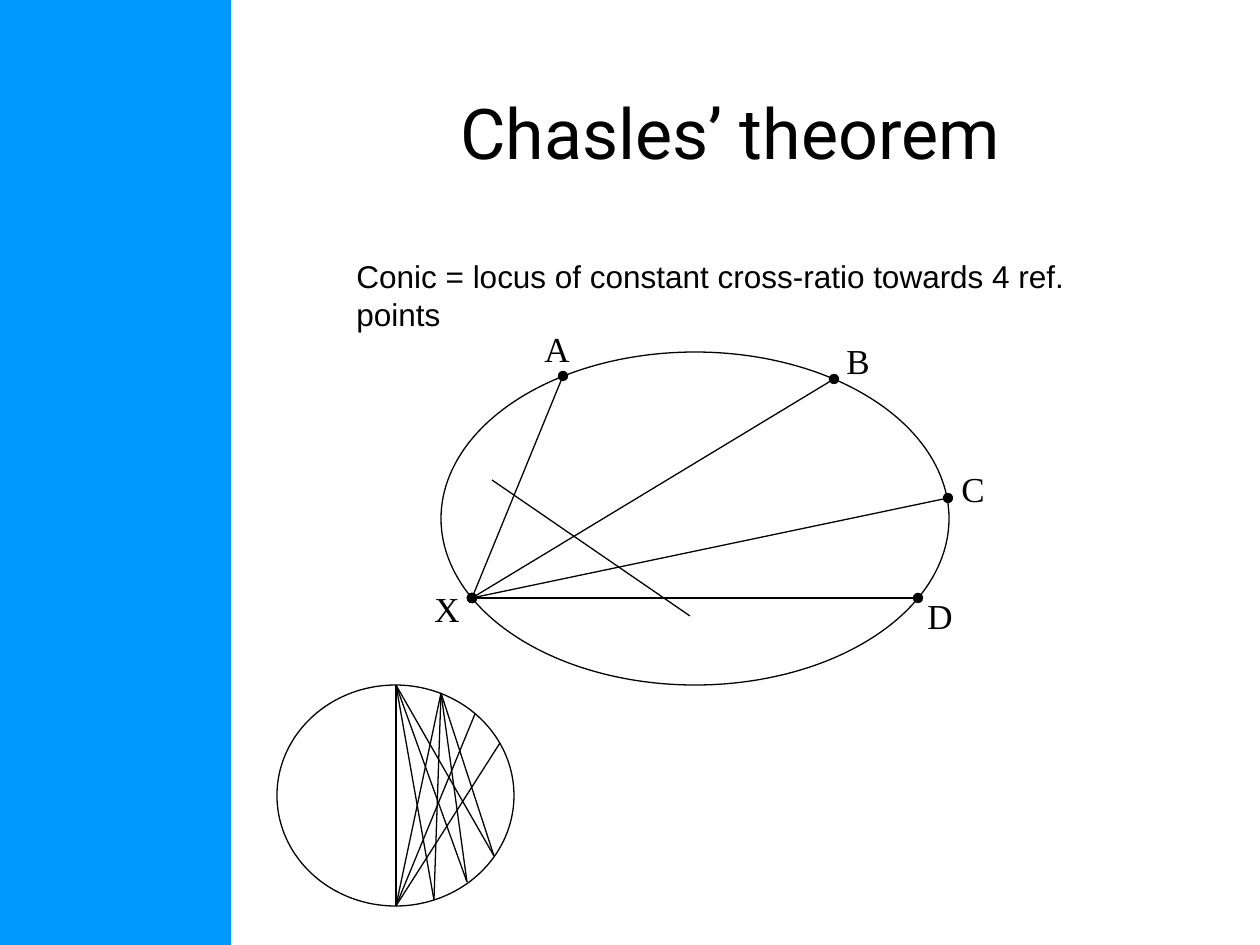
from lxml import etree
from pptx import Presentation
from pptx.dml.color import RGBColor
from pptx.enum.shapes import MSO_CONNECTOR, MSO_SHAPE
from pptx.enum.text import MSO_ANCHOR, MSO_AUTO_SIZE, PP_ALIGN
from pptx.oxml.ns import qn
from pptx.util import Emu, Pt

RECTANGLE, OVAL = MSO_SHAPE.RECTANGLE, MSO_SHAPE.OVAL
STRAIGHT = MSO_CONNECTOR.STRAIGHT
LEFT, CENTER = PP_ALIGN.LEFT, PP_ALIGN.CENTER
TOP, MIDDLE = MSO_ANCHOR.TOP, MSO_ANCHOR.MIDDLE

PX_PER_INCH = 126
EMU_PER_PX = 914400 / PX_PER_INCH
PAGE_SIZE = (1260, 945)
COLORS = {"band": "0099FF", "ink": "000000"}

TITLE = ("Chasles’ theorem", (231, 53, 998, 157))
STATEMENT = ("Conic = locus of constant cross-ratio towards 4 ref. points",
             (344, 251, 825, 50))
TITLE_FONT = {"name": "Roboto", "size": Pt(40)}
STATEMENT_FONT = {"name": "Arial", "size": Pt(18)}
LABEL_FONT = {"name": "Times New Roman", "size": Pt(20)}

SIDE_BAND = (0, 0, 231, 945)
CONIC = (441, 352, 508, 333)
CIRCLE = (277, 685, 237, 221)

VIEWPOINT = (472, 598)
REFERENCE_POINTS = [(834, 379), (948, 498), (918, 598), (563, 376)]
TRANSVERSAL = ((492, 480), (690, 616))
LABEL_SIZE = (50, 55)
LABELS = {"A": (532, 321), "B": (834, 333), "C": (949, 461),
          "D": (915, 588), "X": (422, 581)}

CHORD_FANS = [
    ((396, 906), [(396, 685), (441, 693), (475, 714), (500, 743)]),
    ((396, 685), [(434, 900), (467, 882), (494, 856)]),
    ((441, 693), [(434, 900), (467, 882), (494, 856)]),
]


def px(*values):
    return [Emu(round(value * EMU_PER_PX)) for value in values]


def color(name):
    return RGBColor.from_string(COLORS[name])


def set_line(line):
    line.color.rgb = color("ink")
    line.width = Pt(0.75)


def add_outline(page, box):
    shape = page.shapes.add_shape(OVAL, *px(*box))
    shape.shadow.inherit = False
    shape.fill.background()
    set_line(shape.line)


def add_segment(page, start, end, dots=False):
    segment = page.shapes.add_connector(STRAIGHT, *px(*start, *end))
    set_line(segment.line)
    properties = segment._element.spPr
    if dots:
        outline = properties.find(qn("a:ln"))
        for tag in ("a:headEnd", "a:tailEnd"):
            etree.SubElement(outline, qn(tag), type="oval")
    etree.SubElement(properties, qn("a:effectLst"))


def add_text(page, text, box, font, align=LEFT, anchor=TOP, wrap=False):
    frame = page.shapes.add_textbox(*px(*box)).text_frame
    frame.word_wrap = wrap
    frame.auto_size = MSO_AUTO_SIZE.NONE if wrap else MSO_AUTO_SIZE.SHAPE_TO_FIT_TEXT
    frame.vertical_anchor = anchor
    para = frame.paragraphs[0]
    para.alignment = align
    span = para.add_run()
    span.text = text
    span.font.color.rgb = color("ink")
    for name, value in font.items():
        setattr(span.font, name, value)


def main():
    deck = Presentation()
    deck.slide_width, deck.slide_height = px(*PAGE_SIZE)
    page = deck.slides.add_slide(deck.slide_layouts[6])

    band = page.shapes.add_shape(RECTANGLE, *px(*SIDE_BAND))
    band.shadow.inherit = False
    band.fill.solid()
    band.fill.fore_color.rgb = color("band")
    band.line.fill.background()

    add_text(page, *TITLE, TITLE_FONT, CENTER, MIDDLE, wrap=True)
    add_outline(page, CONIC)
    for point in REFERENCE_POINTS:
        add_segment(page, VIEWPOINT, point, dots=True)
    for letter, corner in LABELS.items():
        add_text(page, letter, corner + LABEL_SIZE, LABEL_FONT)
    add_segment(page, *TRANSVERSAL)
    add_text(page, *STATEMENT, STATEMENT_FONT)

    add_outline(page, CIRCLE)
    for apex, ends in CHORD_FANS:
        for end in ends:
            add_segment(page, apex, end)

    deck.save("out.pptx")


if __name__ == "__main__":
    main()
